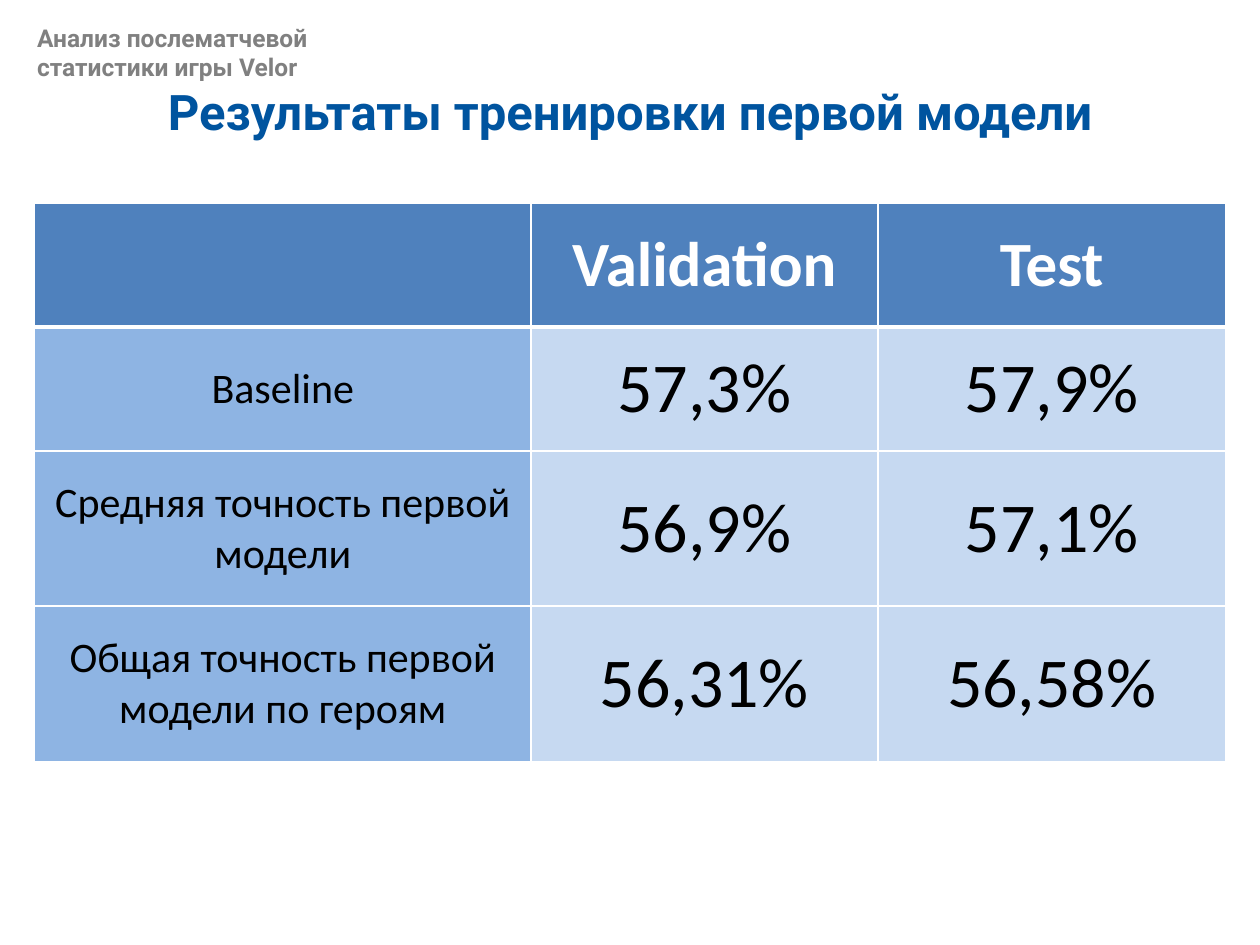
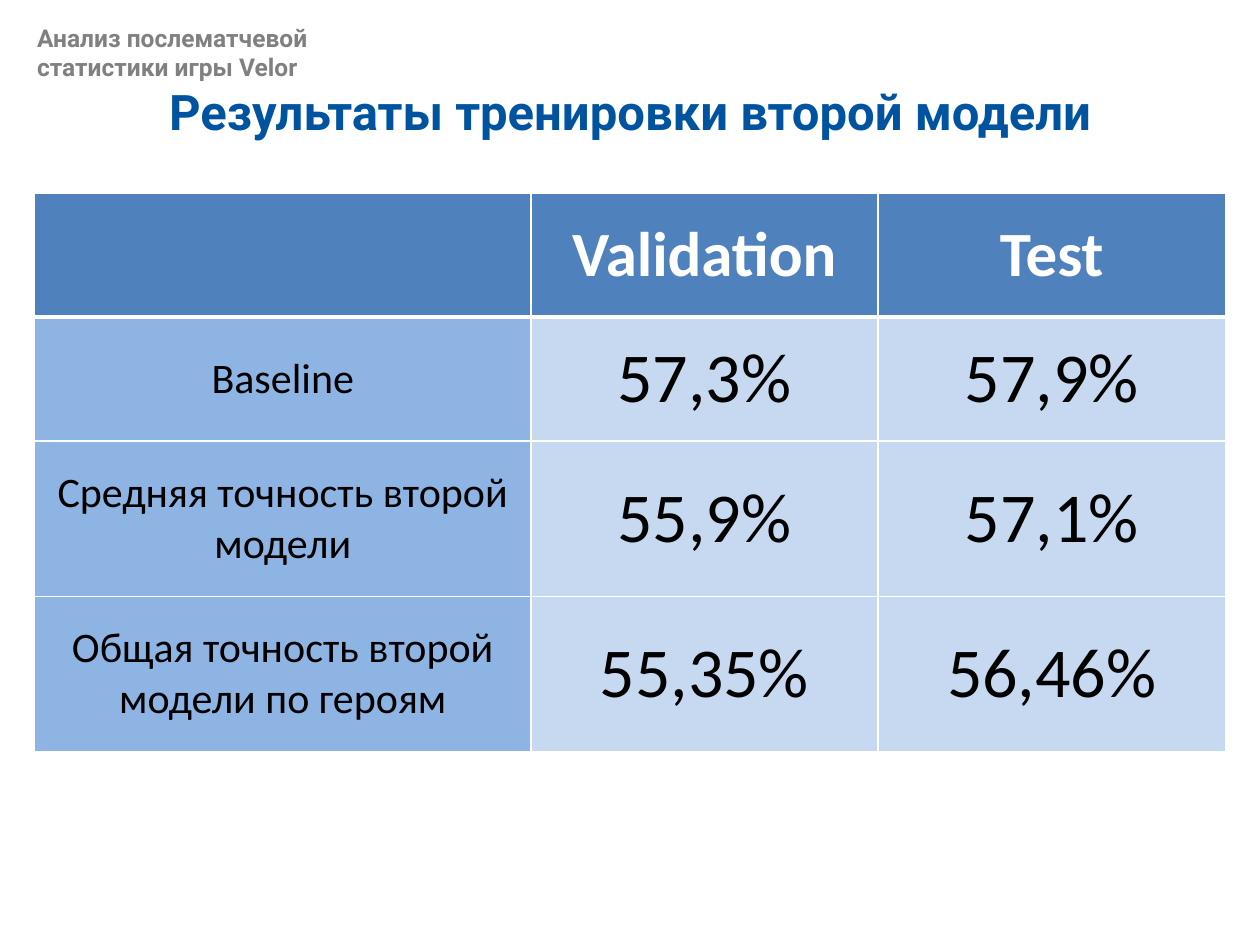
from lxml.etree import SubElement, Element
from pptx import Presentation
from pptx.dml.color import RGBColor
from pptx.enum.text import MSO_ANCHOR, PP_ALIGN
from pptx.oxml.ns import qn
from pptx.util import Cm, Pt

RUNNING_HEAD = "Анализ послематчевой статистики игры Velor"
HEADER = ("", "Validation", "Test")
BASELINE = ("Baseline", "57,3%", "57,9%")
COL_WIDTHS = (10, 7, 7)
ROW_HEIGHTS = (2.5, 2.5, 3.13, 3.13)
MODELS = (
    ("первой", 4.09, ("56,9%", "57,1%"), ("56,31%", "56,58%")),
    ("второй", 3.89, ("55,9%", "57,1%"), ("55,35%", "56,46%")),
)


def rgb(value):
    """Return the colour for a hex string."""
    return RGBColor.from_string(value)


class Deck:
    """Holds the shared style and the current slide."""

    WHITE = "FFFFFF"
    HEADER_FILL, LABEL_FILL, VALUE_FILL = "4F81BD", "8EB4E3", "C6D9F1"
    HEAD = {"name": "Roboto", "size": Pt(14), "bold": True, "color": "808080"}
    TITLE = HEAD | {"size": Pt(28), "color": "00549F"}
    LABEL = {"name": "Calibri", "size": Pt(24), "bold": False, "color": "000000"}
    VALUE = LABEL | {"size": Pt(40)}
    COLUMN = LABEL | {"size": Pt(36), "bold": True, "color": WHITE}

    def __init__(self):
        """Start an empty 10 by 7.5 inch presentation."""
        self.prs = Presentation()
        self.prs.slide_width, self.prs.slide_height = Cm(25.4), Cm(19.05)

    def slide(self, title):
        """Add a slide with the running head and a title."""
        self.s = self.prs.slides.add_slide(self.prs.slide_layouts[6])
        self.text(RUNNING_HEAD, (0.5, 0.33, 8.2, 1.45), self.HEAD, PP_ALIGN.LEFT)
        self.text(title, (2.2, 1.52, 21, 1.45), self.TITLE, PP_ALIGN.CENTER)

    def run(self, tf, text, style, align):
        """Fill a text frame with one formatted run."""
        p = tf.paragraphs[0]
        p.alignment = align
        r = p.add_run()
        r.text = text
        for key, value in style.items():
            if key == "color":
                r.font.color.rgb = rgb(value)
            else:
                setattr(r.font, key, value)

    def text(self, text, box, style, align):
        """Add a wrapped text box."""
        sp = self.s.shapes.add_textbox(*map(Cm, box))
        sp.text_frame.word_wrap = True
        self.run(sp.text_frame, text, style, align)

    def borders(self, cell, widths):
        """Draw white cell borders from widths by side."""
        tc_pr = cell._tc.get_or_add_tcPr()
        for i, (side, width) in enumerate(widths.items()):
            ln = Element(qn(f"a:ln{side}"), w=str(Pt(width)))
            fill = SubElement(ln, qn("a:solidFill"))
            SubElement(fill, qn("a:srgbClr"), val=self.WHITE)
            tc_pr.insert(i, ln)

    def cell(self, cell, text, row, col):
        """Style and fill one table cell by its place."""
        if row == 0:
            fill, style = self.HEADER_FILL, self.COLUMN
        elif col == 0:
            fill, style = self.LABEL_FILL, self.LABEL
        else:
            fill, style = self.VALUE_FILL, self.VALUE
        cell.fill.solid()
        cell.fill.fore_color.rgb = rgb(fill)
        cell.vertical_anchor = MSO_ANCHOR.MIDDLE
        top, bottom = 3 if row == 1 else 1, 3 if row == 0 else 1
        self.borders(cell, {"L": 1, "R": 1, "T": top, "B": bottom})
        if text:
            self.run(cell.text_frame, text, style, PP_ALIGN.CENTER)

    def table(self, rows, top):
        """Add a results table centred across the slide."""
        width, height = Cm(sum(COL_WIDTHS)), Cm(sum(ROW_HEIGHTS))
        left = (self.prs.slide_width - width) // 2
        table = self.s.shapes.add_table(
            len(rows), len(COL_WIDTHS), left, Cm(top), width, height).table
        for column, size in zip(table.columns, COL_WIDTHS):
            column.width = Cm(size)
        for i, (texts, size) in enumerate(zip(rows, ROW_HEIGHTS)):
            table.rows[i].height = Cm(size)
            for j, text in enumerate(texts):
                self.cell(table.cell(i, j), text, i, j)


def main():
    """Build one results slide per model and save."""
    deck = Deck()
    for model, top, average, overall in MODELS:
        deck.slide(f"Результаты тренировки {model} модели")
        deck.table((
            HEADER,
            BASELINE,
            (f"Средняя точность {model} модели", *average),
            (f"Общая точность {model} модели по героям", *overall),
        ), top)
    deck.prs.save("out.pptx")


if __name__ == "__main__":
    main()
